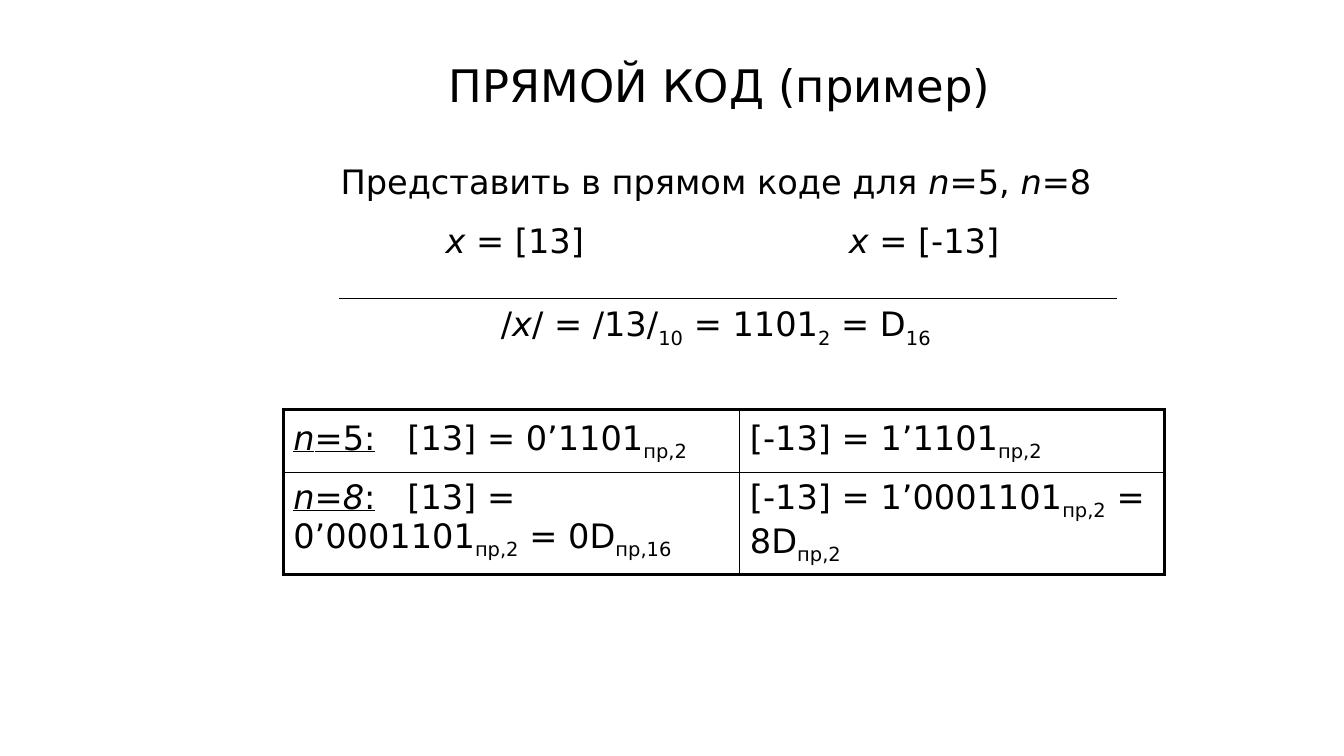
import pptx
import pptx.util
import pptx.dml.color
import pptx.enum.shapes
import pptx.enum.text
import pptx.oxml
import pptx.oxml.ns
from pptx.util import Pt

BLACK = pptx.dml.color.RGBColor(0, 0, 0)
FONT = "DejaVu Sans"
ANCHOR = pptx.enum.text.MSO_ANCHOR
CENTER = pptx.enum.text.PP_ALIGN.CENTER
LEFT = pptx.enum.text.PP_ALIGN.LEFT
OUTER, INNER = 2.25, 1

TITLE = [("ПРЯМОЙ КОД (пример)", "")]
TASK = [("Представить в прямом коде для ", ""), ("n", "i"), ("=5, ", ""), ("n", "i"), ("=8", "")]
OPERANDS = [("\t", ""), ("x", "i"), (" = [13]\t", ""), ("x", "i"), (" = [-13]", "")]
MODULUS = [("/", ""), ("x", "i"), ("/ = /13/", ""), ("10", "s"), (" = 1101", ""),
           ("2", "s"), (" = D", ""), ("16", "s")]
CODES = [
    [[("n", "iu"), ("=5:", "u"), ("\t[13] = 0’1101", ""), ("пр,2", "s")],
     [("[-13] = 1’1101", ""), ("пр,2", "s")]],
    [[("n=8", "iu"), (":", "u"), ("\t[13] = 0’0001101", ""), ("пр,2", "s"),
      (" = 0D", ""), ("пр,16", "s")],
     [("[-13] = 1’0001101", ""), ("пр,2", "s"), (" = 8D", ""), ("пр,2", "s")]],
]


def make_element(xml):
    """Parse an XML fragment in the drawing namespace."""
    return pptx.oxml.parse_xml(xml.replace(">", f" {pptx.oxml.ns.nsdecls('a')}>", 1))


def set_attributes(target, values):
    """Set each named value on the target."""
    for name, value in values.items():
        setattr(target, name, value)


def write_paragraph(paragraph, runs, size=24, tabs=(), **formats):
    """Fill a paragraph with runs flagged i (italic), u (underline), s (subscript)."""
    set_attributes(paragraph, {"alignment": LEFT, **formats})
    if tabs:
        stops = "".join(f'<a:tab pos="{Pt(stop)}" algn="l"/>' for stop in tabs)
        paragraph._p.get_or_add_pPr().append(make_element(f"<a:tabLst>{stops}</a:tabLst>"))
    for text, flags in runs:
        run = paragraph.add_run()
        run.text = text
        set_attributes(run.font, {"name": FONT, "size": Pt(size),
                                  "italic": "i" in flags, "underline": "u" in flags})
        run.font.color.rgb = BLACK
        if "s" in flags:
            run.font._element.set("baseline", "-25000")


def add_text(slide, left, top, width, height, anchor=ANCHOR.TOP):
    """Add a wrapping text box and return its text frame."""
    box = slide.shapes.add_textbox(Pt(left), Pt(top), Pt(width), Pt(height))
    set_attributes(box.text_frame, {"word_wrap": True, "vertical_anchor": anchor})
    return box.text_frame


def add_rule(slide, left, top, right):
    """Add a thin horizontal line."""
    rule = slide.shapes.add_connector(
        pptx.enum.shapes.MSO_CONNECTOR.STRAIGHT, Pt(left), Pt(top), Pt(right), Pt(top))
    rule.line.color.rgb = BLACK
    rule.line.width = Pt(0.75)
    rule._element.spPr.append(make_element("<a:effectLst></a:effectLst>"))


def set_borders(cell, widths):
    """Draw the cell borders, given widths by side."""
    properties = cell._tc.get_or_add_tcPr()
    for index, (side, width) in enumerate(widths.items()):
        properties.insert(index, make_element(
            f'<a:ln{side} w="{Pt(width)}"><a:solidFill><a:srgbClr val="{BLACK}"/>'
            f"</a:solidFill></a:ln{side}>"))


def add_code_table(slide, left, top, widths, heights):
    """Add the table of direct codes with a heavy outer frame."""
    table = slide.shapes.add_table(len(heights), len(widths), Pt(left), Pt(top),
                                   Pt(sum(widths)), Pt(sum(heights))).table
    set_attributes(table, {"first_row": False, "horz_banding": False})
    for column, width in zip(table.columns, widths):
        column.width = Pt(width)
    for row, height in zip(table.rows, heights):
        row.height = Pt(height)
    for row, codes in enumerate(CODES):
        for column, runs in enumerate(codes):
            cell = table.cell(row, column)
            cell.vertical_anchor = ANCHOR.TOP if row else ANCHOR.MIDDLE
            cell.fill.background()
            set_borders(cell, {"L": INNER if column else OUTER, "R": OUTER if column else INNER,
                               "T": INNER if row else OUTER, "B": OUTER if row else INNER})
            write_paragraph(cell.text_frame.paragraphs[0], runs, tabs=() if column else (81.5,))


def main():
    """Build the slide and save it."""
    presentation = pptx.Presentation()
    set_attributes(presentation, {"slide_width": Pt(960), "slide_height": Pt(540)})
    slide = presentation.slides.add_slide(presentation.slide_layouts[6])
    title = add_text(slide, 224.6, 31.7, 579, 51.8, ANCHOR.BOTTOM)
    write_paragraph(title.paragraphs[0], TITLE, 32, alignment=CENTER, line_spacing=0.9)
    task = add_text(slide, 236.2, 111.6, 561.6, 80)
    write_paragraph(task.paragraphs[0], TASK)
    write_paragraph(task.add_paragraph(), OPERANDS, tabs=(75, 363), space_before=Pt(13.5))
    modulus = add_text(slide, 242, 213.1, 538.6, 36.7)
    write_paragraph(modulus.paragraphs[0], MODULUS, alignment=CENTER)
    add_code_table(slide, 202.3, 292.3, (326.2, 303.1), (45.4, 64.8))
    add_rule(slide, 242, 213.1, 797.8)
    presentation.save("out.pptx")


if __name__ == "__main__":
    main()
